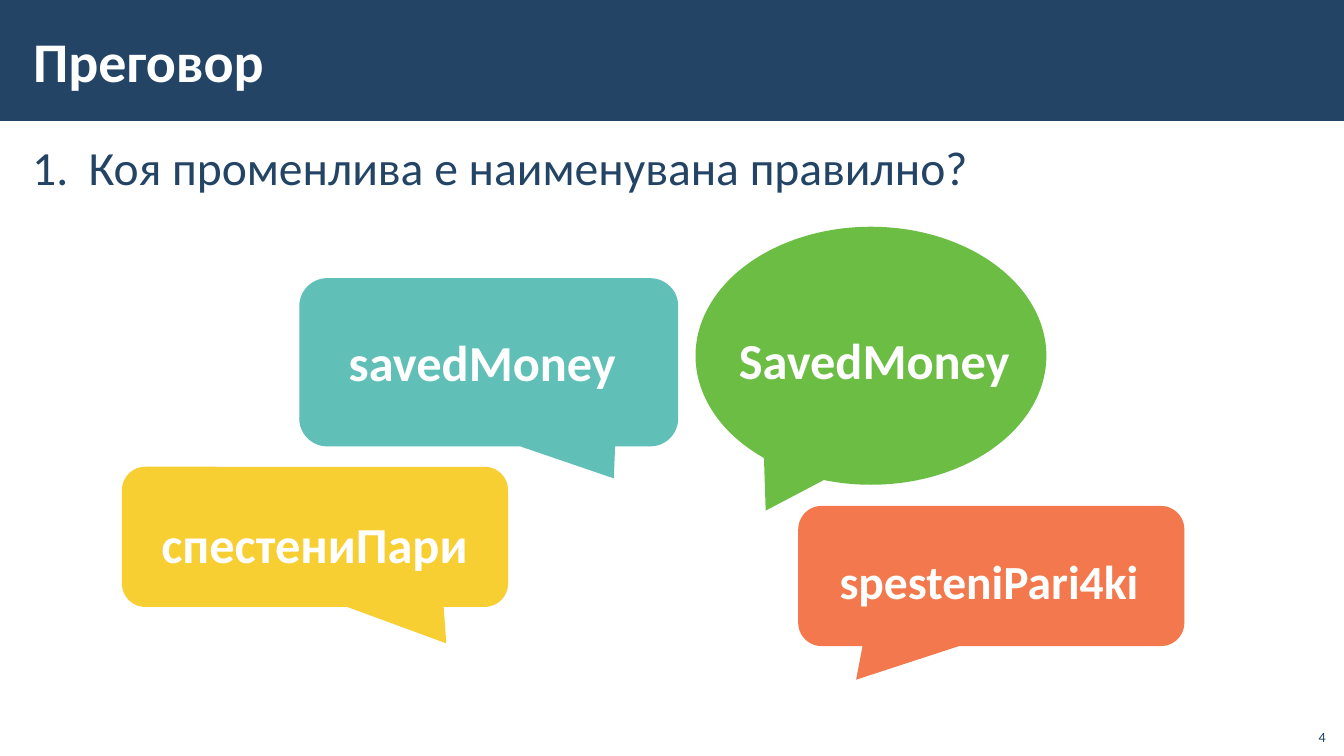
from dataclasses import dataclass

import pptx
import pptx.dml.color
import pptx.enum.shapes
import pptx.enum.text
import pptx.oxml
import pptx.oxml.ns
import pptx.util

Pt = pptx.util.Pt
Kind = pptx.enum.shapes.MSO_SHAPE
Align = pptx.enum.text.PP_ALIGN
Anchor = pptx.enum.text.MSO_ANCHOR
Box = tuple[float, float, float, float]


@dataclass(frozen=True)
class Theme:
    """Colours, font and type sizes."""
    navy: str = "234465"
    white: str = "FFFFFF"
    green: str = "6CBD44"
    yellow: str = "F5C300"
    orange: str = "F15721"
    teal: str = "60BFB7"
    font: str = "Calibri"
    title: int = 40
    large: int = 36
    body: int = 34
    small: int = 10


@dataclass(frozen=True)
class Bubble:
    """A speech bubble with its variable name."""
    name: str
    kind: int
    box: Box
    tail: tuple[float, float]
    fill: str
    label: Box
    size: int = Theme.large
    alpha: int = 100
    align: int = Align.CENTER
    indent: float = 0
    lead: float = 1.1


theme = Theme()
ROUND = Kind.ROUNDED_RECTANGULAR_CALLOUT
BUBBLES = [
    Bubble("SavedMoney", Kind.OVAL_CALLOUT, (496.8, 162, 250.6, 184.3), (-0.3, 0.6),
           theme.green, (480.2, 226.8, 267.8, 60.5), align=Align.LEFT, indent=36, lead=1),
    Bubble("спестениПари", ROUND, (87.1, 333.4, 275.8, 100.1), (0.34, 0.76),
           theme.yellow, (77.8, 353.5, 293.8, 62.6), alpha=80),
    Bubble("spesteniPari4ki", ROUND, (570.2, 361.4, 275.8, 100.1), (-0.35, 0.74),
           theme.orange, (588.2, 381.6, 247.7, 60.5), size=theme.body, alpha=80,
           align=Align.LEFT),
    Bubble("savedMoney", ROUND, (213.8, 198.7, 270.7, 120.2), (0.33, 0.69),
           theme.teal, (216, 223.9, 257, 62.6)),
]


def rgb(code: str) -> pptx.dml.color.RGBColor:
    """Turn a hex code into a colour."""
    return pptx.dml.color.RGBColor.from_string(code)


def shape(host, kind: int, box: Box, fill: str, alpha: int = 100):
    """Draw a plain filled shape, see-through when alpha is below 100."""
    item = host.add_shape(kind, *map(Pt, box))
    item.shadow.inherit = False
    item.line.fill.background()
    item.fill.solid()
    item.fill.fore_color.rgb = rgb(fill)
    if alpha < 100:
        tint = item._element.spPr.find(".//" + pptx.oxml.ns.qn("a:srgbClr"))
        tint.append(pptx.oxml.parse_xml(
            f'<a:alpha {pptx.oxml.ns.nsdecls("a")} val="{alpha * 1000}"/>'))
    return item


def text(host, words: str, box: Box, *, size: int, color: str, bold: bool = False,
         align: int = Align.LEFT, anchor: int = Anchor.TOP, lead: float = 1,
         pad: tuple[float, float] = (8.6, 2.9), gap: float = 0,
         indent: float = 0, number: bool = False) -> None:
    """Add a one-paragraph text box."""
    frame = host.add_textbox(*map(Pt, box)).text_frame
    frame.word_wrap = True
    frame.vertical_anchor = anchor
    frame.margin_left = frame.margin_right = Pt(pad[0])
    frame.margin_top = frame.margin_bottom = Pt(pad[1])
    para = frame.paragraphs[0]
    para.alignment, para.line_spacing = align, lead
    para.space_before = para.space_after = Pt(gap)
    props = para._p.get_or_add_pPr()
    props.set("marL", str(Pt(indent)))
    if number:
        props.set("indent", str(-Pt(indent)))
        props.append(pptx.oxml.parse_xml(
            f'<a:buAutoNum {pptx.oxml.ns.nsdecls("a")} type="arabicPeriod"/>'))
    run = para.add_run()
    run.text = words
    run.font.name, run.font.size, run.font.bold = theme.font, Pt(size), bold
    run.font.color.rgb = rgb(color)


def speak(slide, item: Bubble) -> None:
    """Draw a bubble grouped with its label."""
    group = slide.shapes.add_group_shape().shapes
    form = shape(group, item.kind, item.box, item.fill, item.alpha)
    form.adjustments[0], form.adjustments[1] = item.tail
    text(group, item.name, item.label, size=item.size, color=theme.white, bold=True,
         align=item.align, lead=item.lead, pad=(11.5, 8.6), indent=item.indent)


def main() -> None:
    """Build and save the slide."""
    deck = pptx.Presentation()
    deck.slide_width, deck.slide_height = Pt(960), Pt(540)
    slide = deck.slides.add_slide(deck.slide_layouts[6])
    shape(slide.shapes, Kind.RECTANGLE, (0, 0, 960, 86.4), theme.navy)
    text(slide.shapes, "Коя променлива е наименувана правилно?", (14.4, 93.6, 929.5, 408.2),
         size=theme.body, color=theme.navy, lead=1.05, gap=6, indent=40.3, number=True)
    text(slide.shapes, "Преговор", (15.1, 7.9, 765.4, 69.8), size=theme.title,
         color=theme.white, bold=True, anchor=Anchor.MIDDLE)
    for item in BUBBLES:
        speak(slide, item)
    text(slide.shapes, "4", (925.2, 512.6, 28.8, 23), size=theme.small, color=theme.navy,
         align=Align.RIGHT, anchor=Anchor.BOTTOM, pad=(7.2, 3.6))
    deck.save("out.pptx")


main()
